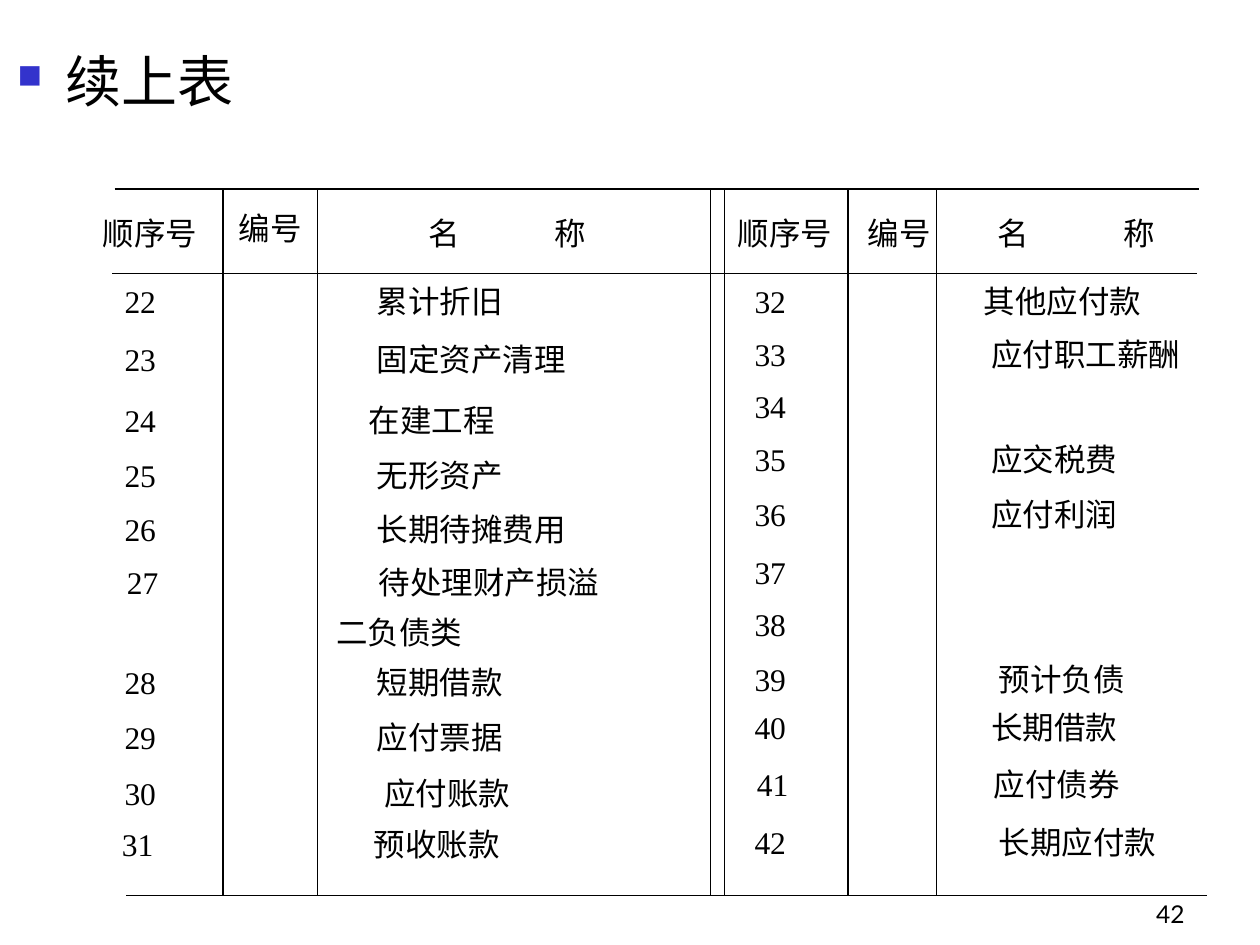
from dataclasses import dataclass

from lxml import etree
from pptx import Presentation
from pptx import util as u
from pptx.dml.color import RGBColor
from pptx.enum import shapes, text
from pptx.oxml import ns


@dataclass(frozen=True)
class Theme:
    ink: str = "000000"
    bullet: str = "3333CC"
    heading_font: str = "Lato"
    table_font: str = "Times New Roman"
    heading_size: int = 32
    table_size: int = 18
    page_size: int = 14
    rule_width: float = 0.75


THEME = Theme()
LEFT, CENTER, RIGHT = text.PP_ALIGN.LEFT, text.PP_ALIGN.CENTER, text.PP_ALIGN.RIGHT
INSET = 0.1
ROW_HEIGHT = 0.4

# Ruled frame: (left, right, y) across, x positions down
TABLE_TOP, TABLE_BOTTOM = 1.5, 7.11
ROW_RULES = [(0.91, 9.52, TABLE_TOP), (0.89, 9.5, 2.17), (1, 9.58, TABLE_BOTTOM)]
COLUMN_RULES = [1.77, 2.52, 5.64, 5.75, 6.73, 7.43]

# Headings: wording, left, top, width, alignment
HEADINGS = [
    ("顺序号", 0.68, 1.65, 1.02, CENTER),
    ("编号", 1.79, 1.61, 0.71, CENTER),
    ("名\t称", 2.91, 1.65, 2.23, CENTER),
    ("顺序号", 5.68, 1.65, 1.1, CENTER),
    ("编号", 6.79, 1.65, 0.81, LEFT),
    ("名\t称", 7.58, 1.65, 1.92, CENTER),
]

# Accounts: number, name, top of row, x of number, x of name
ACCOUNTS = [
    ("22", "累计折旧", 2.19, 0.99, 2.99),
    ("23", "固定资产清理", 2.65, 0.99, 2.99),
    ("24", "在建工程", 3.13, 0.99, 2.93),
    ("25", "无形资产", 3.57, 0.99, 2.99),
    ("26", "长期待摊费用", 4, 0.99, 2.99),
    ("27", "待处理财产损溢", 4.42, 1.01, 3.01),
    ("28", "短期借款", 5.21, 0.99, 2.99),
    ("29", "应付票据", 5.65, 0.99, 2.99),
    ("30", "应付账款", 6.09, 0.99, 3.05),
    ("31", "预收账款", 6.5, 0.97, 2.97),
    ("32", "其他应付款", 2.19, 5.99, 7.81),
    ("33", "应付职工薪酬", 2.61, 5.99, 7.87),
    ("34", "", 3.02, 5.99, 7.87),
    ("35", "应交税费", 3.44, 5.99, 7.87),
    ("36", "应付利润", 3.88, 5.99, 7.87),
    ("37", "", 4.34, 5.99, 7.87),
    ("38", "", 4.75, 5.99, 7.87),
    ("39", "预计负债", 5.19, 5.99, 7.93),
    ("40", "长期借款", 5.57, 5.99, 7.87),
    ("41", "应付债券", 6.02, 6.01, 7.89),
    ("42", "长期应付款", 6.48, 5.99, 7.93),
]
ACCOUNT_WIDTH = 4.1


def set_values(target, values):
    for name, value in values.items():
        setattr(target, name, value)


def add_property(paragraph, tag, **attributes):
    properties = paragraph._p.get_or_add_pPr()
    return etree.SubElement(properties, ns.qn(tag), attributes)


def add_tab_stop(paragraph, position):
    stops = add_property(paragraph, "a:tabLst")
    etree.SubElement(stops, ns.qn("a:tab"), pos=str(u.Inches(position)), algn="l")


def add_bullet(paragraph, indent):
    properties = paragraph._p.get_or_add_pPr()
    properties.set("marL", str(u.Inches(indent)))
    properties.set("indent", str(-u.Inches(indent)))
    color = add_property(paragraph, "a:buClr")
    etree.SubElement(color, ns.qn("a:srgbClr"), val=THEME.bullet)
    add_property(paragraph, "a:buSzPct", val="60000")
    add_property(paragraph, "a:buChar", char="■")


def add_text(slide, wording, left, top, width, height=ROW_HEIGHT, align=LEFT,
             font=THEME.table_font, size=THEME.table_size,
             anchor=text.MSO_ANCHOR.TOP, tab=None, bullet_indent=None):
    shape = slide.shapes.add_textbox(*map(u.Inches, (left, top, width, height)))
    set_values(shape.text_frame, {"word_wrap": True, "vertical_anchor": anchor})
    paragraph = shape.text_frame.paragraphs[0]
    paragraph.alignment = align
    if bullet_indent is not None:
        add_bullet(paragraph, bullet_indent)
    if tab is not None:
        add_tab_stop(paragraph, tab)
    run = paragraph.add_run()
    run.text = wording
    set_values(run.font, {"name": font, "size": u.Pt(size)})
    run.font.color.rgb = RGBColor.from_string(THEME.ink)


def add_rule(slide, x1, y1, x2, y2):
    rule = slide.shapes.add_connector(
        shapes.MSO_CONNECTOR.STRAIGHT, *map(u.Inches, (x1, y1, x2, y2)))
    rule.line.color.rgb = RGBColor.from_string(THEME.ink)
    rule.line.width = u.Pt(THEME.rule_width)
    etree.SubElement(rule._element.spPr, ns.qn("a:effectLst"))


def add_account(slide, number, name, top, number_x, name_x):
    wording = f"{number}\t{name}" if name else number
    add_text(slide, wording, number_x - INSET, top, ACCOUNT_WIDTH,
             tab=name_x - number_x if name else None)


def main():
    presentation = Presentation()
    set_values(presentation, {"slide_width": u.Inches(10), "slide_height": u.Inches(7.5)})
    slide = presentation.slides.add_slide(presentation.slide_layouts[6])

    # Page number and title
    add_text(slide, "42", 7.42, 6.92, 2.08, 0.5, RIGHT, THEME.heading_font,
             THEME.page_size, text.MSO_ANCHOR.BOTTOM)
    add_text(slide, "续上表", 0.04, 0.32, 9.21, 6.75, font=THEME.heading_font,
             size=THEME.heading_size, bullet_indent=0.38)

    # Ruled frame
    for left, right, y in ROW_RULES:
        add_rule(slide, left, y, right, y)
    for x in COLUMN_RULES:
        add_rule(slide, x, TABLE_TOP, x, TABLE_BOTTOM)

    # Headings
    for wording, left, top, width, align in HEADINGS:
        add_text(slide, wording, left, top, width, align=align,
                 tab=1 if "\t" in wording else None)

    # Accounts and the heading of the liabilities section
    for account in ACCOUNTS:
        add_account(slide, *account)
    add_text(slide, "二负债类", 2.57, 4.82, 2.74)

    presentation.save("out.pptx")


if __name__ == "__main__":
    main()
